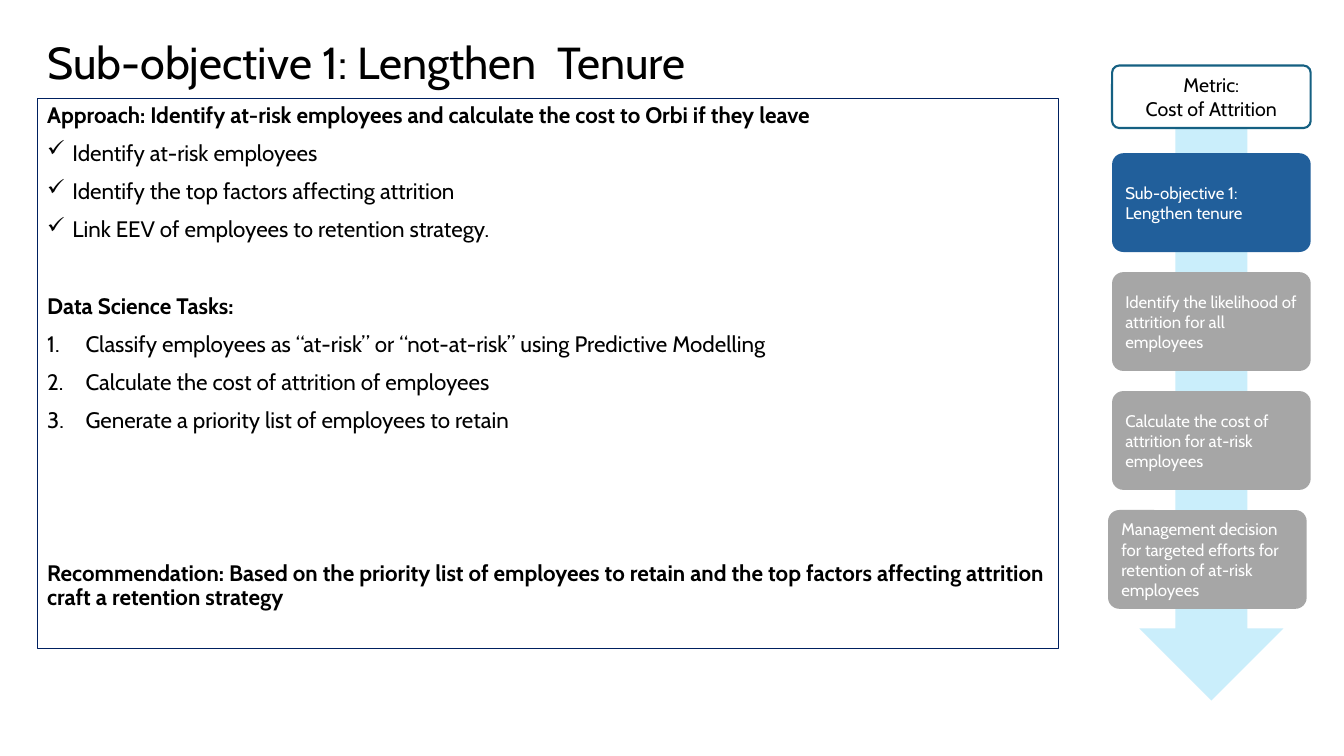
import pptx
import pptx.dml.color
import pptx.enum.shapes
import pptx.enum.text
import pptx.oxml.ns
import pptx.util
from lxml import etree

Inches, Pt = pptx.util.Inches, pptx.util.Pt
RGBColor = pptx.dml.color.RGBColor
SHAPES = pptx.enum.shapes.MSO_SHAPE
ANCHOR = pptx.enum.text.MSO_ANCHOR
ALIGN = pptx.enum.text.PP_ALIGN

BLACK = RGBColor(0x00, 0x00, 0x00)
WHITE = RGBColor(0xFF, 0xFF, 0xFF)
NAVY = RGBColor(0x00, 0x20, 0x60)
TEAL = RGBColor(0x15, 0x60, 0x82)
BLUE = RGBColor(0x21, 0x5F, 0x9B)
GRAY = RGBColor(0xA6, 0xA6, 0xA6)
PALE_BLUE = RGBColor(0xCA, 0xEE, 0xFB)
FONT = "Cabin"

TITLE = "Sub-objective 1: Lengthen  Tenure"
# Each section: heading, list style, list items, points of space above the heading
SECTIONS = [
    ("Approach: Identify at-risk employees and calculate the cost to Orbi if they leave",
     "check",
     ["Identify at-risk employees",
      "Identify the top factors affecting attrition",
      "Link EEV of employees to retention strategy."], 0),
    ("Data Science Tasks:",
     "number",
     ["Classify employees as “at-risk” or “not-at-risk” using Predictive Modelling",
      "Calculate the cost of attrition of employees",
      "Generate a priority list of employees to retain"], 37.4),
    ("Recommendation: Based on the priority list of employees to retain and the top "
     "factors affecting attrition craft a retention strategy", None, [], 92),
]
LIST_STYLES = {
    "check": ("buChar", {"char": "✓"}, 0.25),
    "number": ("buAutoNum", {"type": "arabicPeriod"}, 0.38),
}
METRIC = ["Metric:", "Cost of Attrition"]
# Each step: lines, fill, shift from the column's left edge
STEPS = [
    (["Sub-objective 1:", "Lengthen tenure"], BLUE, 0),
    (["Identify the likelihood of attrition for all employees"], GRAY, 0),
    (["Calculate the cost of attrition for at-risk employees"], GRAY, 0),
    (["Management decision for targeted efforts for retention of at-risk employees"],
     GRAY, -0.04),
]

MARGIN = 0.37
STEP_LEFT, STEP_TOP, STEP_PITCH = 11.03, 1.52, 1.18
STEP_WIDTH, STEP_HEIGHT = 1.97, 0.98
METRIC_TOP, METRIC_HEIGHT = 0.65, 0.62
ARROW_WIDTH, ARROW_TOP, ARROW_HEIGHT = 1.43, 1.09, 5.86


def add_box(slide, kind, place, fill=None, line=None, line_width=0.75):
    shape = slide.shapes.add_shape(kind, *map(Inches, place))
    shape.shadow.inherit = False
    if fill is None:
        shape.fill.background()
    else:
        shape.fill.solid()
        shape.fill.fore_color.rgb = fill
    if line is None:
        shape.line.fill.background()
    else:
        shape.line.color.rgb = line
        shape.line.width = Pt(line_width)
    shape.text_frame.word_wrap = True
    return shape


def add_text(frame, text, size, color=BLACK, bold=False, align=ALIGN.LEFT):
    """Fill the frame's empty first paragraph, or append a new one."""
    first = frame.paragraphs[0]
    paragraph = frame.add_paragraph() if first.runs else first
    paragraph.alignment = align
    run = paragraph.add_run()
    run.text = text
    run.font.name = FONT
    run.font.size = Pt(size)
    run.font.bold = bold
    run.font.color.rgb = color
    return paragraph


def set_bullet(paragraph, style):
    tag, attributes, indent = LIST_STYLES[style]
    properties = paragraph._p.get_or_add_pPr()
    properties.set("marL", str(Inches(indent)))
    properties.set("indent", str(-Inches(indent)))
    etree.SubElement(properties, pptx.oxml.ns.qn("a:" + tag), attributes)


def add_body(slide):
    body = add_box(slide, SHAPES.RECTANGLE, (MARGIN, 0.98, 10.13, 5.45), line=NAVY)
    frame = body.text_frame
    frame.vertical_anchor = ANCHOR.TOP
    for heading, style, items, space_above in SECTIONS:
        paragraph = add_text(frame, heading, 16, bold=True)
        paragraph.space_before = Pt(space_above)
        for item in items:
            paragraph = add_text(frame, item, 16)
            set_bullet(paragraph, style)
            paragraph.space_before = Pt(10)
    for paragraph in frame.paragraphs:
        paragraph.line_spacing = 0.9


def add_card(slide, place, lines, size, color, align, **style):
    card = add_box(slide, SHAPES.ROUNDED_RECTANGLE, place, **style)
    card.adjustments[0] = 0.114
    card.text_frame.vertical_anchor = ANCHOR.MIDDLE
    for line in lines:
        add_text(card.text_frame, line, size, color, align=align)


def add_process(slide):
    arrow_left = STEP_LEFT + (STEP_WIDTH - ARROW_WIDTH) / 2
    add_box(slide, SHAPES.DOWN_ARROW,
            (arrow_left, ARROW_TOP, ARROW_WIDTH, ARROW_HEIGHT), fill=PALE_BLUE)
    add_card(slide, (STEP_LEFT, METRIC_TOP, STEP_WIDTH, METRIC_HEIGHT), METRIC,
             14, BLACK, ALIGN.CENTER, fill=WHITE, line=TEAL, line_width=1.5)
    for row, (lines, fill, shift) in enumerate(STEPS):
        place = (STEP_LEFT + shift, STEP_TOP + row * STEP_PITCH, STEP_WIDTH, STEP_HEIGHT)
        add_card(slide, place, lines, 12, WHITE, ALIGN.LEFT, fill=fill)


def main():
    presentation = pptx.Presentation()
    presentation.slide_width = Inches(13.33)
    presentation.slide_height = Inches(7.5)
    slide = presentation.slides.add_slide(presentation.slide_layouts[6])

    title = slide.shapes.add_textbox(*map(Inches, (MARGIN, 0.15, 12.63, 0.98)))
    title.text_frame.word_wrap = True
    title.text_frame.vertical_anchor = ANCHOR.MIDDLE
    add_text(title.text_frame, TITLE, 32).line_spacing = 0.9

    add_body(slide)
    add_process(slide)
    presentation.save("out.pptx")


if __name__ == "__main__":
    main()
